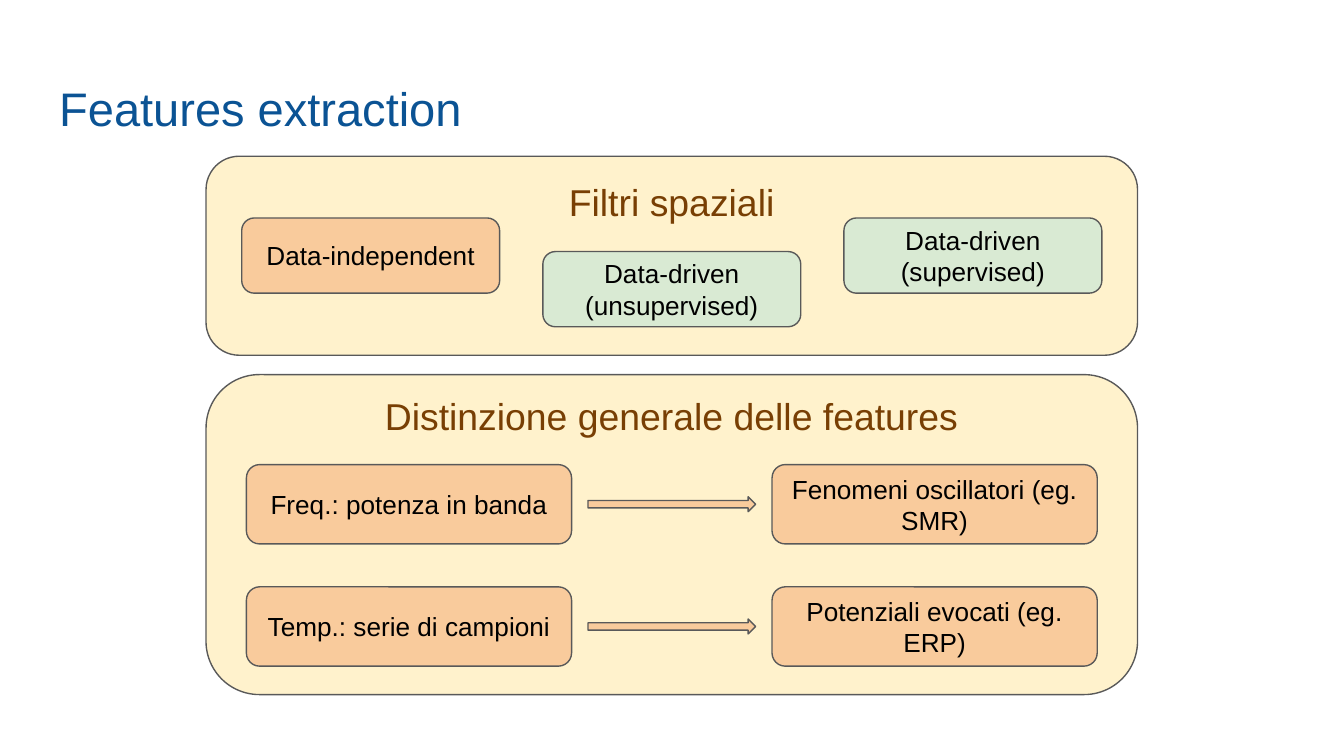
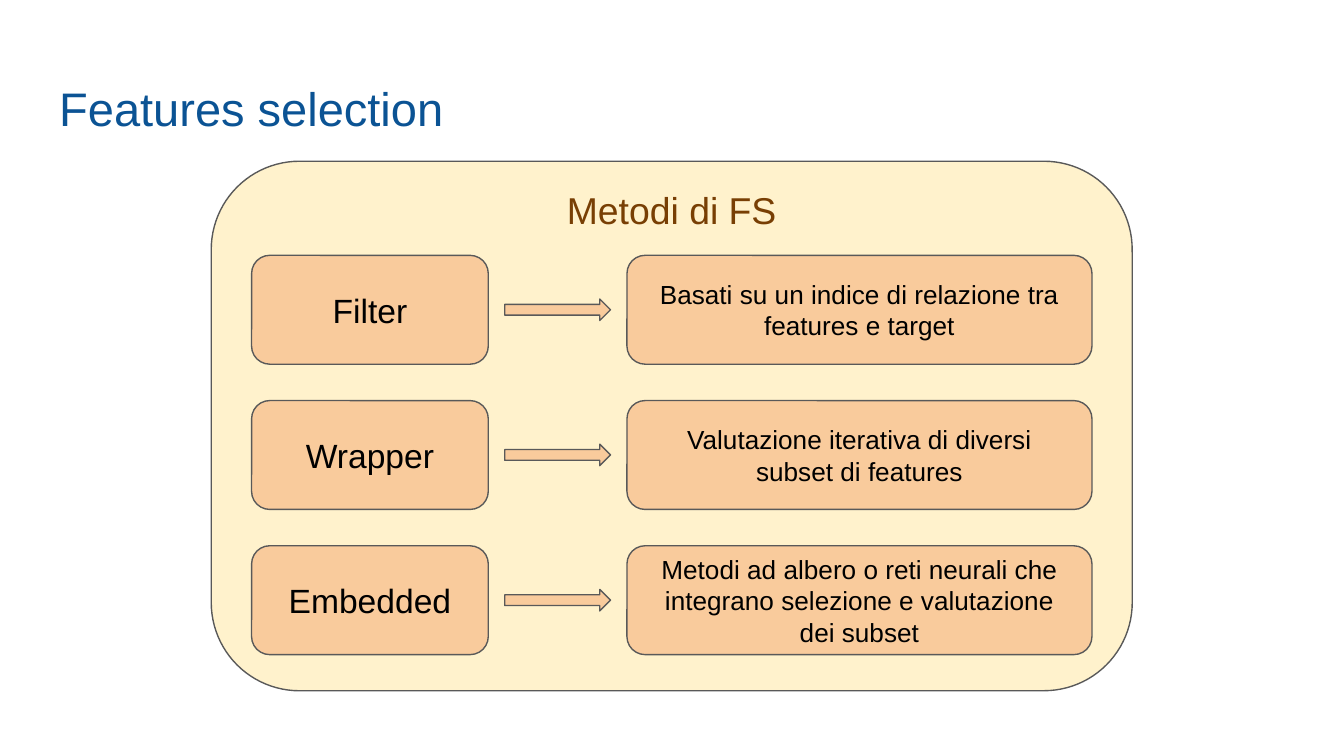
"""Build two slides on feature extraction and feature selection."""
import pptx
import pptx.dml.color
import pptx.enum.shapes
import pptx.enum.text
import pptx.util

Pt = pptx.util.Pt
SHAPE = pptx.enum.shapes.MSO_SHAPE
ALIGN = pptx.enum.text.PP_ALIGN
ANCHOR = pptx.enum.text.MSO_ANCHOR

COLORS = {
    "title": "0B5394",
    "heading": "783F04",
    "panel": "FFF2CC",
    "orange": "F9CB9C",
    "green": "D9EAD3",
    "line": "595959",
    "text": "000000",
}
FONT = "Arial"
INSET = 7.2
PAD = 21.6
ARROW_GAP = 8.8


def rgb(name):
    """Return the named colour."""
    return pptx.dml.color.RGBColor.from_string(COLORS[name])


def write(sp, text, size, color, align, anchor, inset_top=INSET):
    """Put one formatted paragraph into a shape."""
    tf = sp.text_frame
    tf.word_wrap = True
    tf.auto_size = pptx.enum.text.MSO_AUTO_SIZE.NONE
    tf.vertical_anchor = anchor
    tf.margin_left = tf.margin_right = tf.margin_bottom = Pt(INSET)
    tf.margin_top = Pt(inset_top)
    tf.text = text
    p = tf.paragraphs[0]
    p.alignment = align
    font = p.runs[0].font
    font.name, font.size = FONT, Pt(size)
    font.color.rgb = rgb(color)


def add_shape(shapes, kind, box, fill):
    """Add a filled and outlined preset shape."""
    sp = shapes.add_shape(kind, *(Pt(v) for v in box))
    sp.shadow.inherit = False
    sp.fill.solid()
    sp.fill.fore_color.rgb = rgb(fill)
    sp.line.color.rgb = rgb("line")
    sp.line.width = Pt(0.75)
    return sp


def add_label(shapes, box, text, size=14, fill="orange"):
    """Add a rounded box with centred text."""
    sp = add_shape(shapes, SHAPE.ROUNDED_RECTANGLE, box, fill)
    write(sp, text, size, "text", ALIGN.CENTER, ANCHOR.MIDDLE)


def add_panel(s, box, heading, inset_top=INSET):
    """Add a grouped panel with its heading and return the group's shapes."""
    shapes = s.shapes.add_group_shape().shapes
    sp = add_shape(shapes, SHAPE.ROUNDED_RECTANGLE, box, "panel")
    write(sp, heading, 20, "heading", ALIGN.CENTER, ANCHOR.TOP, inset_top)
    return shapes


def add_pairs(shapes, box, rows, top, pitch, height, widths, arrow_h, left_size=14):
    """Add rows of two boxes joined by an arrow inside a panel."""
    x, y, w, _ = box
    left_w, right_w = widths
    left_x, right_x = x + PAD, x + w - PAD - right_w
    arrow_x = left_x + left_w + ARROW_GAP
    arrow_w = right_x - ARROW_GAP - arrow_x
    for i, (left, right) in enumerate(rows):
        row_y = y + top + i * pitch
        arrow_y = row_y + (height - arrow_h) / 2
        add_label(shapes, (left_x, row_y, left_w, height), left, left_size)
        add_shape(shapes, SHAPE.RIGHT_ARROW, (arrow_x, arrow_y, arrow_w, arrow_h), "orange")
        add_label(shapes, (right_x, row_y, right_w, height), right)


def add_filters(s, box):
    """Add the spatial filters panel with its three staggered boxes."""
    x, y, w, _ = box
    shapes = add_panel(s, box, "Filtri spaziali")
    label_w, label_h, pitch = 138.2, 40.3, 161.3
    start = x + (w - label_w) / 2 - pitch
    labels = [
        ("Data-independent", "orange", 33.1),
        ("Data-driven (unsupervised)", "green", 51.1),
        ("Data-driven (supervised)", "green", 33.1),
    ]
    for i, (text, fill, top) in enumerate(labels):
        add_label(shapes, (start + i * pitch, y + top, label_w, label_h), text, fill=fill)


def add_distinction(s, box):
    """Add the panel that tells feature kinds apart."""
    shapes = add_panel(s, box, "Distinzione generale delle features", 1.4)
    rows = [
        ("Freq.: potenza in banda", "Fenomeni oscillatori (eg. SMR)"),
        ("Temp.: serie di campioni", "Potenziali evocati (eg. ERP)"),
    ]
    add_pairs(shapes, box, rows, 48.2, 65.5, 42.5, (174.2, 174.2), 8)


def add_methods(s, box):
    """Add the panel of feature selection methods."""
    shapes = add_panel(s, box, "Metodi di FS", 0)
    rows = [
        ("Filter", "Basati su un indice di relazione tra features e target"),
        ("Wrapper", "Valutazione iterativa di diversi subset di features"),
        ("Embedded", "Metodi ad albero o reti neurali che integrano selezione e valutazione dei subset"),
    ]
    add_pairs(shapes, box, rows, 50.4, 77.8, 58.3, (126.8, 249.1), 11.5, 18)


def add_slide(prs, title):
    """Add a title-only slide with the shared title style."""
    s = prs.slides.add_slide(prs.slide_layouts[5])
    sp = s.shapes.title
    sp.left, sp.top, sp.width, sp.height = Pt(24.5), Pt(35.3), Pt(671), Pt(45.4)
    write(sp, title, 25.2, "title", ALIGN.LEFT, ANCHOR.TOP)
    return s


def main():
    """Build and save the presentation."""
    prs = pptx.Presentation()
    prs.slide_width, prs.slide_height = Pt(720), Pt(405)
    s = add_slide(prs, "Features extraction")
    add_distinction(s, (110.4, 200.7, 499, 171.4))
    add_filters(s, (110.4, 83.7, 499, 106.6))
    s = add_slide(prs, "Features selection")
    add_methods(s, (113.2, 86.4, 493.4, 283.7))
    prs.save("out.pptx")


if __name__ == "__main__":
    main()
